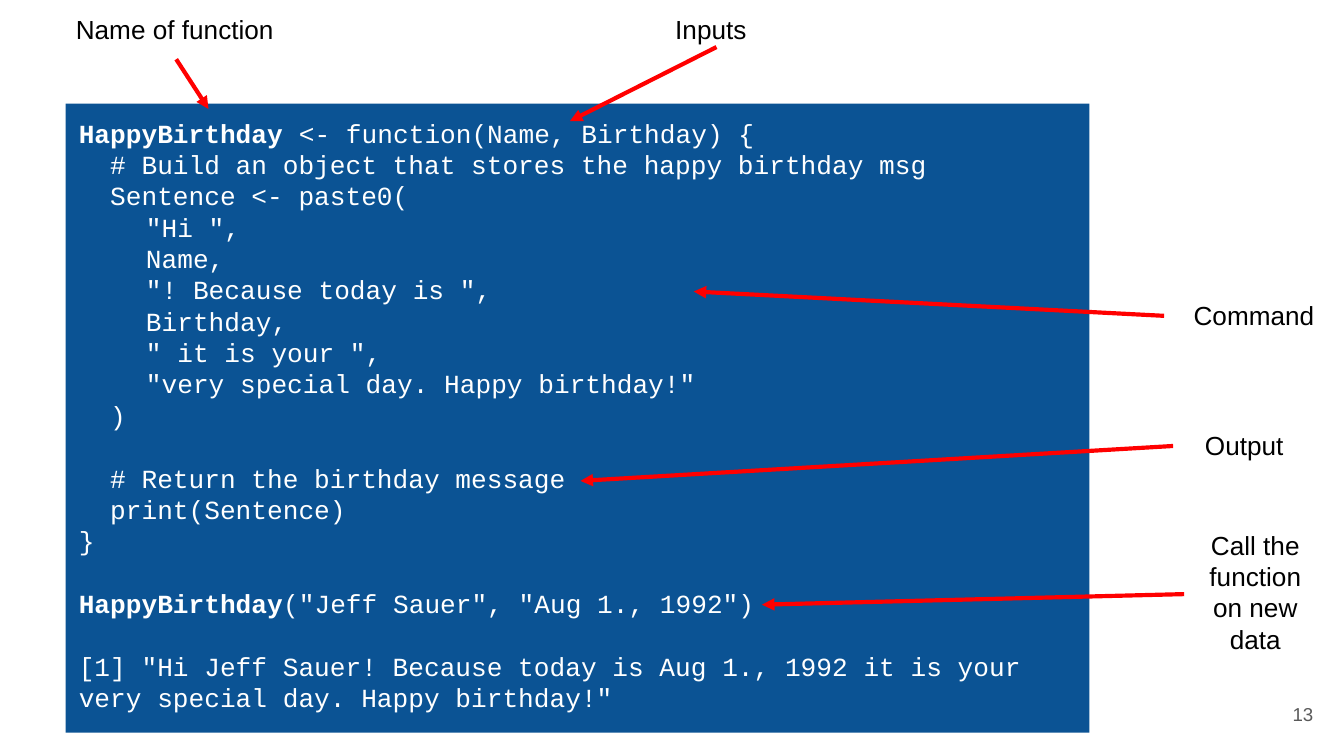
"""Build a slide that labels the parts of an R function."""
from lxml import etree
from pptx import Presentation
from pptx import util as u
from pptx.dml.color import RGBColor
from pptx.enum import shapes, text
from pptx.oxml.ns import qn

BLUE = RGBColor(0x0B, 0x53, 0x94)
RED = RGBColor(0xFF, 0, 0)
WHITE = RGBColor(0xFF, 0xFF, 0xFF)
BLACK = RGBColor(0, 0, 0)
GREY = RGBColor(0x59, 0x59, 0x59)
PITCH = u.Pt(16.8)
INSET = u.Cm(0.25)

NAME = "HappyBirthday"
BLOCKS = [
    [
        "HappyBirthday <- function(Name, Birthday) {",
        "  # Build an object that stores the happy birthday msg",
        "  Sentence <- paste0(",
        '\t"Hi ",',
        "\tName,",
        '\t"! Because today is ",',
        "\tBirthday,",
        '\t" it is your ",',
        '\t"very special day. Happy birthday!"',
        "  )",
    ],
    ["  # Return the birthday message", "  print(Sentence)", "}"],
    ['HappyBirthday("Jeff Sauer", "Aug 1., 1992")'],
    ['[1] "Hi Jeff Sauer! Because today is Aug 1., 1992 it is your '
     'very special day. Happy birthday!"'],
]
CODE_BOX = (1.24, 1.96, 19.35, 11.89)
PAGE = ("13", (23.55, 12.95, 1.52, 1.09))
LABELS = [
    ("Name of function", (0.08, 0, 6.45, 1.12), (3.33, 1.12), (3.94, 2.06)),
    ("Inputs", (10.21, 0, 6.45, 1.12), (13.54, 0.89), (10.77, 2.29)),
    ("Command", (22, 5.41, 3.4, 1.12), (22, 5.97), (13.11, 5.51)),
    ("Output", (22.17, 7.87, 2.69, 1.12), (22.17, 8.43), (10.97, 9.09)),
    ("Call the function on new data", (22.38, 9.75, 2.69, 2.9),
     (22.38, 11.23), (14.4, 11.43)),
]


def cm(vals):
    return [u.Cm(v) for v in vals]


def style(run, font, size, color, bold=False):
    run.font.name = font
    run.font.size = u.Pt(size)
    run.font.color.rgb = color
    run.font.bold = bold


def frame(shape, anchor):
    body = shape.text_frame
    body.word_wrap = True
    body.vertical_anchor = anchor
    body.margin_left = body.margin_right = INSET
    body.margin_top = body.margin_bottom = INSET
    return body


def add_label(slide, words, box, size, color, align, anchor):
    body = frame(slide.shapes.add_textbox(*cm(box)), anchor)
    body.text = words
    para = body.paragraphs[0]
    para.alignment = align
    para.line_spacing = u.Pt(size * 1.2)
    style(para.runs[0], "Arial", size, color)


def add_arrow(slide, start, tip):
    line = slide.shapes.add_connector(
        shapes.MSO_CONNECTOR.STRAIGHT, *cm(start + tip))
    line.line.color.rgb = RED
    line.line.width = u.Pt(2.25)
    etree.SubElement(line.line._get_or_add_ln(), qn("a:tailEnd"), type="triangle")
    etree.SubElement(line._element.spPr, qn("a:effectLst"))


def add_code(slide):
    panel = slide.shapes.add_shape(
        shapes.MSO_SHAPE.RECTANGLE, *cm(CODE_BOX))
    panel.shadow.inherit = False
    panel.fill.solid()
    panel.fill.fore_color.rgb = BLUE
    panel.line.fill.background()
    body = frame(panel, text.MSO_ANCHOR.TOP)
    rows = [(row, b > 0 and i == 0)
            for b, block in enumerate(BLOCKS) for i, row in enumerate(block)]
    for n, (row, gap) in enumerate(rows):
        para = body.add_paragraph() if n else body.paragraphs[0]
        para.alignment = text.PP_ALIGN.LEFT
        para.line_spacing = PITCH
        para.space_before = PITCH if gap else u.Pt(0)
        head = NAME if row.startswith(NAME) else ""
        for part, bold in ((head, True), (row[len(head):], False)):
            if part:
                run = para.add_run()
                run.text = part
                style(run, "Courier New", 14, WHITE, bold)


def main():
    deck = Presentation()
    deck.slide_width, deck.slide_height = cm((25.4, 14.29))
    slide = deck.slides.add_slide(deck.slide_layouts[6])
    add_label(slide, *PAGE, 10, GREY, text.PP_ALIGN.RIGHT, text.MSO_ANCHOR.MIDDLE)
    add_code(slide)
    for words, box, start, tip in LABELS:
        add_label(slide, words, box, 14, BLACK,
                  text.PP_ALIGN.CENTER, text.MSO_ANCHOR.TOP)
        add_arrow(slide, start, tip)
    deck.save("out.pptx")


if __name__ == "__main__":
    main()
